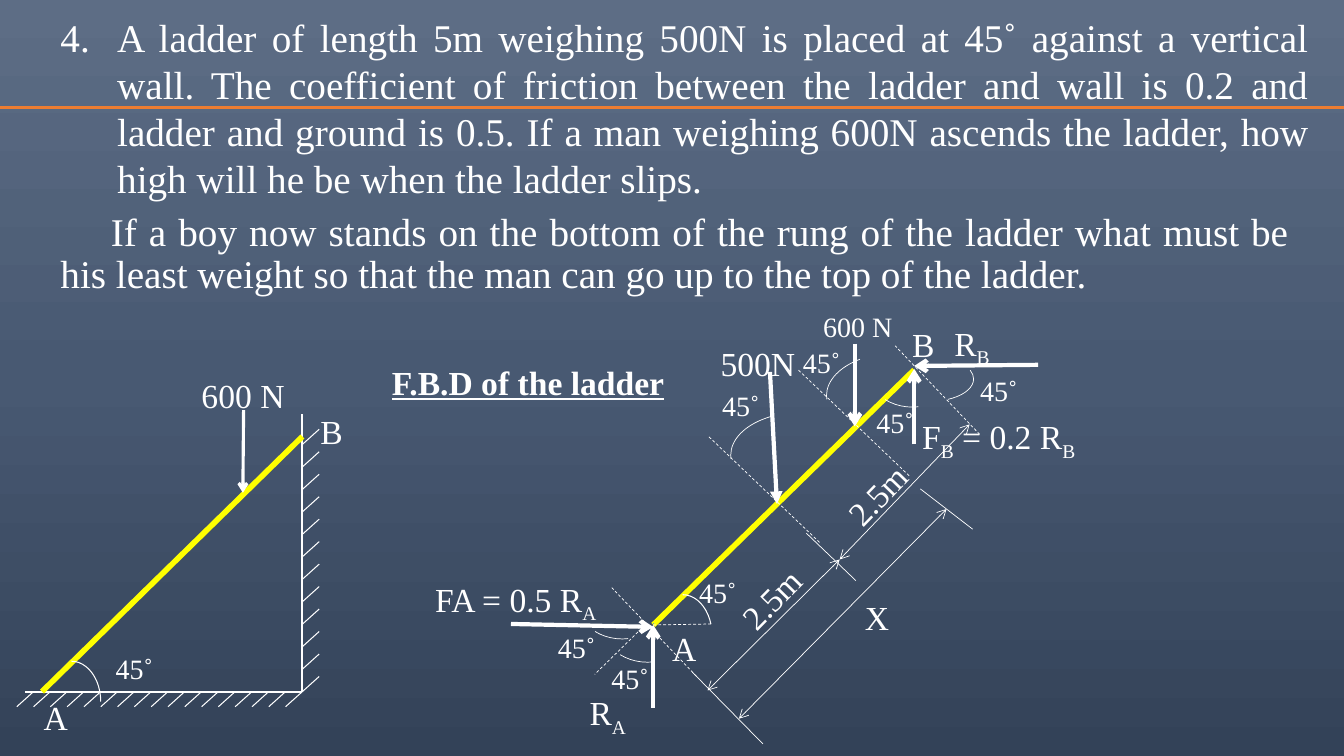
from copy import deepcopy

from pptx import Presentation
from pptx.dml.color import RGBColor
from pptx.enum.dml import MSO_LINE
from pptx.enum.shapes import MSO_CONNECTOR, MSO_SHAPE
from pptx.enum.text import MSO_ANCHOR, MSO_AUTO_SIZE, PP_ALIGN
from pptx.oxml.ns import qn
from pptx.util import Pt
from lxml import etree

STRAIGHT = MSO_CONNECTOR.STRAIGHT
ARC = MSO_SHAPE.ARC
DASH = MSO_LINE.DASH
TOP = MSO_ANCHOR.TOP
NONE = MSO_AUTO_SIZE.NONE
GROW = MSO_AUTO_SIZE.SHAPE_TO_FIT_TEXT
LEFT, MID, BOTH = PP_ALIGN.LEFT, PP_ALIGN.CENTER, PP_ALIGN.JUSTIFY
FACE = "Times New Roman"
WHITE, GOLD, RUST, BLUE = "FFFFFF", "FFFF00", "ED7D31", "5B9BD5"
FLOOR, WALL = 494, 216

TASK = (
    "A ladder of length 5m weighing 500N is placed at 45˚ against a vertical wall. "
    "The coefficient of friction between the ladder and wall is 0.2 and ladder and "
    "ground is 0.5. If a man weighing 600N ascends the ladder, how high will he be "
    "when the ladder slips. "
)
MORE = (
    "\tIf a boy now stands on the bottom of the rung of the ladder what must be "
    "\this least weight so that the man can go up to the top of the ladder."
)

FORCES = [
    (610.6, 245.5, 610.6, 304.6),
    (466.6, 505.4, 466.6, 446.4),
    (365, 445.7, 466.6, 447.8),
    (653, 317.5, 653, 263.5),
    (741.6, 260.6, 653, 261.4),
]
DASHES = [
    (466.6, 446.4, 509, 445.7),
    (699.8, 310.3, 639.4, 247),
    (585.4, 387.4, 506.2, 311.8),
    (497.5, 483.1, 437, 419.8),
    (460.8, 446.4, 424.8, 481.7),
    (649.4, 339.8, 570.2, 264.2),
]
TICKS = [
    (545, 531.4, 494.6, 480.2),
    (611.3, 414.7, 576, 380.9),
    (694.8, 378, 657.4, 349.2),
]
SPANS = [
    (505.4, 493.2, 599.8, 399.6),
    (599.8, 399.6, 692.6, 303.1),
    (527.8, 513.4, 676.1, 363.6),
]
ARCS = [
    (635, 254.9, 60.5, 31.7, 208.45, 30.6),
    (619.9, 239, 63.4, 51.8, 48.23, 79.88),
    (412.6, 404.6, 63.4, 51.8, 48.23, 79.88),
    (430.6, 421.2, 63.4, 51.8, 48.23, 79.88),
    (522, 294.5, 101.5, 61.2, 106.22, 140.39),
    (590.4, 252, 101.5, 61.2, 106.22, 134.4),
]
ANGLES = [
    (477.4, 407.5), (678.2, 263.5), (604.1, 285.8), (376.6, 447.1),
    (414.7, 468.7), (493.9, 273.6), (551.5, 243.4),
]
LABELS = [
    ("B", 644.4, 227.5, 31),
    ("R|A", 414, 491, 48),
    ("X", 610.6, 422.6, 54),
    ("500N", 507.6, 241.2, 70),
    ("R|B", 674.6, 226.8, 66),
    ("FA = 0.5 R|A", 303.8, 409.7, 157),
    ("F|B| = 0.2 R|B", 651.6, 293.8, 157),
]


def tint(code):
    return RGBColor.from_string(code)


def style(font, size):
    font.name = FACE
    font.size = Pt(size)
    font.color.rgb = tint(WHITE)


def paint(slide):
    fill = slide.background.fill
    fill.gradient()
    fill.gradient_angle = 270
    first = fill.gradient_stops[0]._gs
    first.addnext(deepcopy(first))
    stops = ((0, "5D6D85"), (0.5, "485972"), (1, "334258"))
    for stop, (place, code) in zip(fill.gradient_stops, stops):
        stop.position = place
        stop.color.rgb = tint(code)


def line(slide, ends, width, code=WHITE, dash=None, head=None, tail=None):
    bar = slide.shapes.add_connector(STRAIGHT, *map(Pt, ends))
    bar.line.width = Pt(width)
    bar.line.color.rgb = tint(code)
    if dash:
        bar.line.dash_style = dash
    for tag, kind in (("a:headEnd", head), ("a:tailEnd", tail)):
        if kind:
            etree.SubElement(bar.line._ln, qn(tag)).set("type", kind)
    etree.SubElement(bar._element.spPr, qn("a:effectLst"))


def arc(slide, box, width, start=162, end=0):
    curve = slide.shapes.add_shape(ARC, *map(Pt, box))
    curve.shadow.inherit = False
    curve.fill.background()
    curve.line.color.rgb = tint(WHITE)
    curve.line.width = Pt(width)
    curve.adjustments[0] = start
    curve.adjustments[1] = end


def label(slide, text, left, top, width, size=24, align=LEFT, turn=0):
    box = slide.shapes.add_textbox(Pt(left), Pt(top), Pt(width), Pt(size * 1.2 + 7.2))
    box.rotation = turn
    frame = box.text_frame
    frame.word_wrap = True
    frame.auto_size = GROW
    para = frame.paragraphs[0]
    para.alignment = align
    for count, part in enumerate(text.split("|")):
        run = para.add_run()
        run.text = part
        style(run.font, size)
        if count % 2:
            run._r.get_or_add_rPr().set("baseline", "-25000")
    return para


def body(slide):
    slide.shapes.title._element.getparent().remove(slide.shapes.title._element)
    hold = slide.placeholders[1]
    hold.left, hold.top, hold.width, hold.height = map(Pt, (36, 6, 906, 222))
    frame = hold.text_frame
    frame.text = TASK + "\n" + MORE
    frame.auto_size = NONE
    frame.vertical_anchor = TOP
    first, last = frame.paragraphs
    for para, inset in ((first, 40.5), (last, 0)):
        props = para._p.get_or_add_pPr()
        props.set("marL", str(Pt(inset)))
        props.set("indent", str(-Pt(inset)))
        if inset:
            mark = etree.SubElement(props, qn("a:buAutoNum"))
            mark.set("type", "arabicPeriod")
            mark.set("startAt", "4")
        else:
            etree.SubElement(props, qn("a:buNone"))
            tabs = etree.SubElement(props, qn("a:tabLst"))
            tab = etree.SubElement(tabs, qn("a:tab"))
            tab.set("pos", str(Pt(54)))
            tab.set("algn", "l")
        para.alignment = BOTH
        for run in para.runs:
            style(run.font, 28)
    first.space_before = Pt(0)
    last.space_before = Pt(7.5)
    last.line_spacing = 0.9


def scene(slide):
    line(slide, (18, FLOOR, WALL, FLOOR), 1.5)
    line(slide, (WALL, FLOOR, WALL, 296), 1.5)
    line(slide, (30, FLOOR, WALL, 311.8), 4, GOLD)
    line(slide, (174, 293, 173.5, 352), 2.25, tail="arrow")
    arc(slide, (30, 472.3, 42, 57.6), 0.75)
    for step in range(17):
        x = 24 + 12 * step
        line(slide, (x, FLOOR, x - 12, FLOOR + 10.8), 0.75)
    for step in range(12):
        y = FLOOR - 16.05 * step
        line(slide, (WALL + 12, y - 10.8, WALL, y), 0.75)
    label(slide, "45˚", 72, 461.5, 48, 20, MID)
    label(slide, "600 N", 134.6, 264.2, 78, align=MID)
    label(slide, "B", 221.8, 290.2, 24, align=MID)
    label(slide, "A", 24, FLOOR, 24, align=MID)


def forces(slide):
    line(slide, (466.6, 446.4, 653, 264.2), 4, GOLD)
    for ends in FORCES:
        line(slide, ends, 3, tail="arrow")
    line(slide, (550, 265.7, 555, 360), 3, tail="triangle")
    for ends in DASHES:
        line(slide, ends, 0.5, dash=DASH)
    for ends in TICKS:
        line(slide, ends, 0.5)
    for ends in SPANS:
        line(slide, ends, 0.5, head="arrow", tail="arrow")
    line(slide, (466.6, 445, 467.3, 445), 0.5, BLUE)
    arc(slide, (466.6, 424.8, 42, 57.6), 0.75, 162, 203.33)
    for *box, start, end in ARCS:
        arc(slide, box, 0.5, start, end)
    for left, top in ANGLES:
        label(slide, "45˚", left, top, 70.5, 20, MID)
    label(slide, "600 N", 578.2, 217.4, 69, 20, MID)
    label(slide, "A", 473, 445, 24, align=MID)
    for item in LABELS:
        label(slide, *item)
    label(slide, "2.5m", 517, 404.6, 78, turn=314.5)
    label(slide, "2.5m", 592.6, 329.8, 78, turn=314)
    head = label(slide, "F.B.D of the ladder", 272.9, 254.9, 221)
    head.runs[0].font.bold = True
    head.runs[0].font.underline = True


def main():
    deck = Presentation()
    deck.slide_width, deck.slide_height = Pt(960), Pt(540)
    slide = deck.slides.add_slide(deck.slide_layouts[1])
    paint(slide)
    body(slide)
    line(slide, (0, 77, 960, 77), 2.25, RUST)
    scene(slide)
    forces(slide)
    deck.save("out.pptx")


if __name__ == "__main__":
    main()
